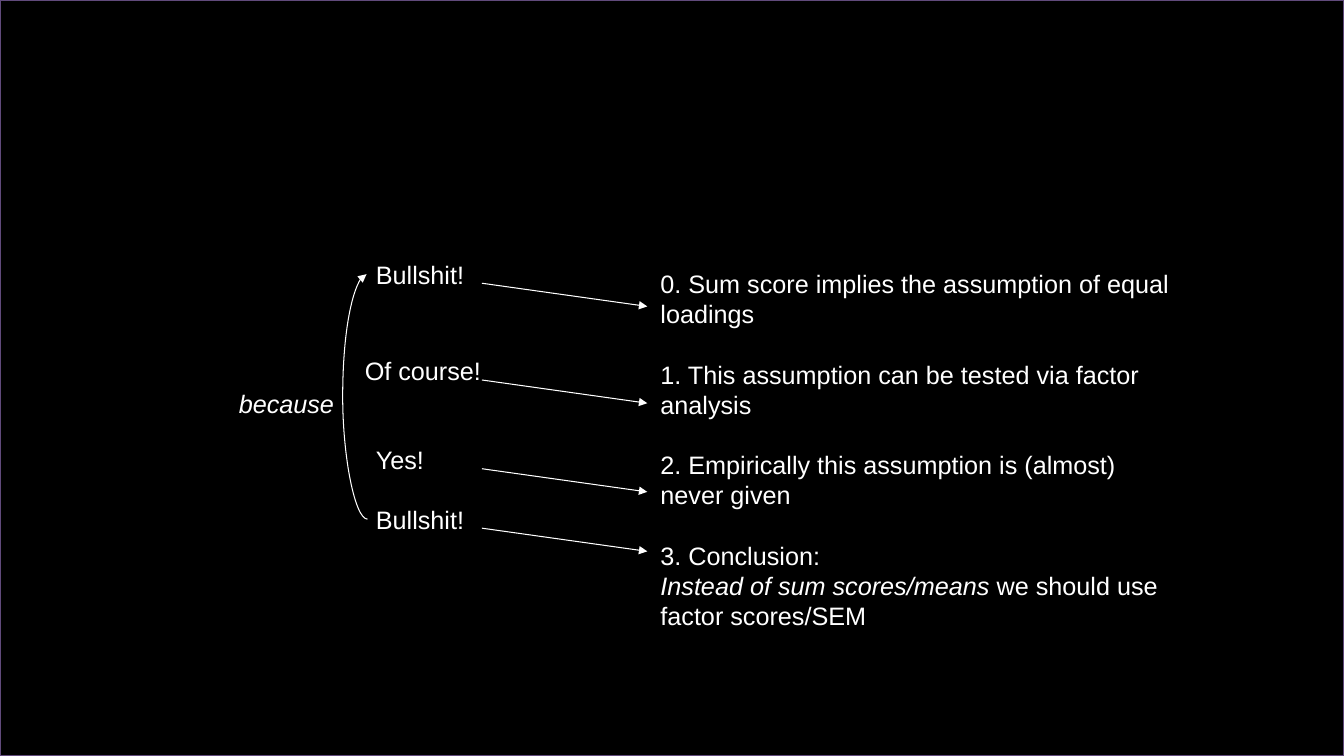
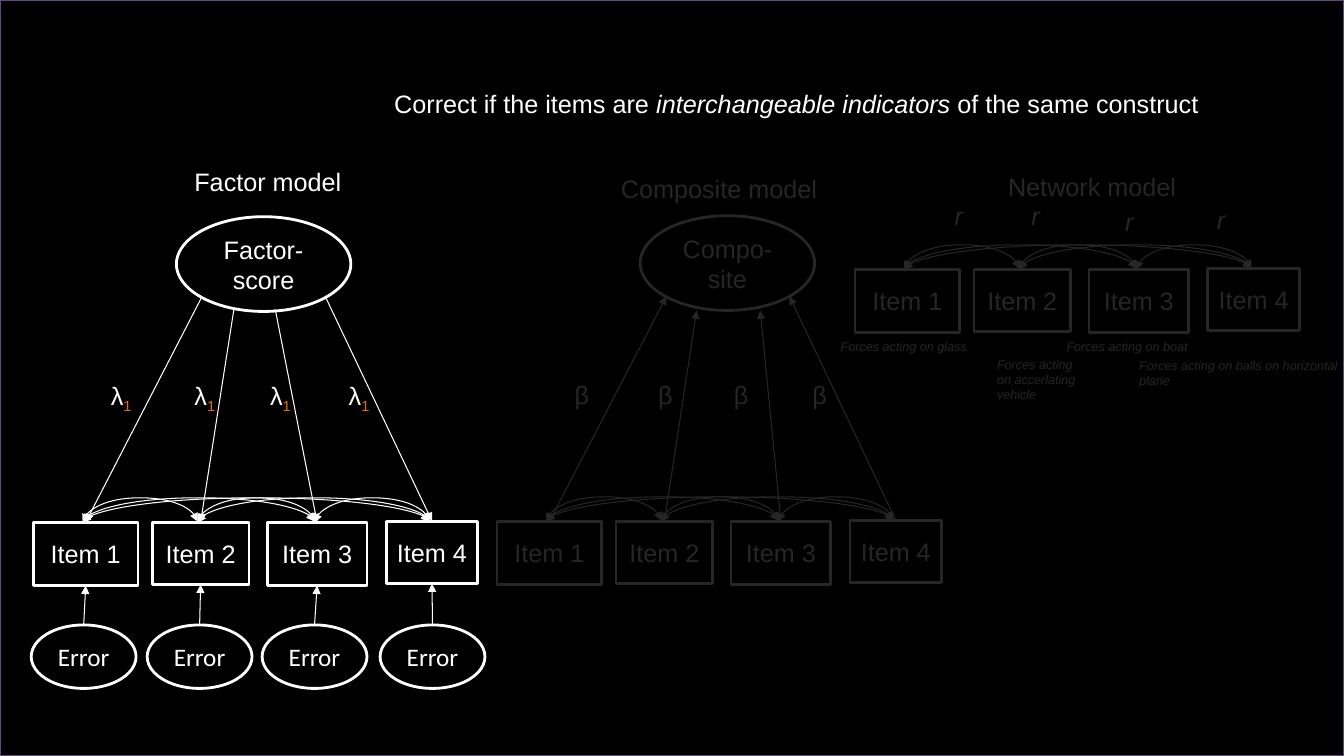
from itertools import combinations

from pptx import Presentation
from pptx.dml.color import RGBColor
from pptx.enum.shapes import MSO_CONNECTOR as CXN, MSO_SHAPE as SHAPE
from pptx.enum.text import MSO_ANCHOR as ANCHOR, MSO_AUTO_SIZE as AUTO, PP_ALIGN as ALIGN
from pptx.oxml.ns import qn
from pptx.util import Inches, Pt
from lxml.etree import SubElement

BLACK, WHITE, DIM, PURPLE, ORANGE = "000000", "FFFFFF", "262626", "604A7B", "E46C0A"
ITALIC = {"italic": True}
TOP, BOTTOM = 0, 2

# Items of every model, relative to the corner of the first one: x, y, width, height
ITEMS = [(0, 0, 1.04, 0.63), (1.18, 0, 0.96, 0.62), (2.32, 0, 0.99, 0.63), (3.5, -0.01, 0.91, 0.62)]
ARC_ENDS = (0.49, 1.63, 2.79, 3.93)
LABELS = (0.67, 1.5, 2.25, 3.03)


def rgb(color):
    return RGBColor.from_string(color)


class Deck:
    """Holds the shared style and the slide being filled."""

    def __init__(self):
        self.prs = Presentation()
        self.prs.slide_width, self.prs.slide_height = Inches(13.33), Inches(7.5)
        self.slide = None
        self.color = WHITE

    def style_master(self):
        """Put the black background and the purple frame on the master."""
        master = self.prs.slide_master
        fill = master.background.fill
        fill.solid()
        fill.fore_color.rgb = rgb(BLACK)
        frame = self.shape(SHAPE.RECTANGLE, (0, 0, 13.33, 7.5), color=PURPLE)
        master.shapes.element.append(frame.element)

    def new_slide(self, layout):
        self.slide = self.prs.slides.add_slide(self.prs.slide_layouts[layout])
        self.color = WHITE

    def add_runs(self, p, runs, **fmt):
        """Add runs to a paragraph; a run is a string or (string, own format)."""
        for run in [runs] if isinstance(runs, str) else runs:
            text, own = (run, {}) if isinstance(run, str) else run
            look = {"name": "Arial", "size": 18, "color": self.color, **fmt, **own}
            r = p.add_run()
            r.text = text
            r.font.color.rgb = rgb(look.pop("color"))
            look["size"] = Pt(look["size"])
            if look.pop("subscript", False):
                r.font._element.set("baseline", "-25000")
            for name, value in look.items():
                setattr(r.font, name, value)

    def text(self, box, runs, **fmt):
        sp = self.slide.shapes.add_textbox(*map(Inches, box))
        sp.text_frame.word_wrap = True
        self.add_runs(sp.text_frame.paragraphs[0], runs, **fmt)

    def placeholder(self, sp, box, paragraphs):
        """Move a placeholder and fill it with (gap before, runs) paragraphs."""
        for name, value in zip(("left", "top", "width", "height"), box):
            setattr(sp, name, Inches(value))
        tf = sp.text_frame
        for name, value in {"word_wrap": True, "auto_size": AUTO.NONE, "vertical_anchor": ANCHOR.TOP}.items():
            setattr(tf, name, value)
        for i, (gap, runs) in enumerate(paragraphs):
            p = tf.add_paragraph() if i else tf.paragraphs[0]
            p.alignment, p.space_before = ALIGN.LEFT, Pt(gap)
            pPr = p._p.get_or_add_pPr()
            pPr.set("marL", "0")
            pPr.set("indent", "0")
            SubElement(pPr, qn("a:buNone"))
            self.add_runs(p, runs)

    def shape(self, kind, box, text="", color=None, **fmt):
        sp = self.slide.shapes.add_shape(kind, *map(Inches, box))
        sp.shadow.inherit = False
        sp.fill.background()
        sp.line.color.rgb = rgb(color or self.color)
        sp.line.width = Pt(2)
        if text:
            tf = sp.text_frame
            tf.word_wrap, tf.vertical_anchor = True, ANCHOR.MIDDLE
            tf.paragraphs[0].alignment = ALIGN.CENTER
            self.add_runs(tf.paragraphs[0], text, **fmt)
        return sp

    def connector(self, kind, start, end, heads=("tailEnd",)):
        c = self.slide.shapes.add_connector(kind, *map(Inches, (*start, *end)))
        c.line.color.rgb = rgb(self.color)
        c.line.width = Pt(0.75)
        ln = c.line._get_or_add_ln()
        for head in heads:
            SubElement(ln, qn(f"a:{head}"), type="triangle")
        SubElement(c.element.spPr, qn("a:effectLst"))
        return c

    def arrow(self, start, end, begin_at=None, end_at=None):
        """Straight arrow; begin_at and end_at are (shape, site) to join."""
        c = self.connector(CXN.STRAIGHT, start, end)
        if begin_at:
            c.begin_connect(*begin_at)
        if end_at:
            c.end_connect(*end_at)

    def arc(self, start, end, heads=("tailEnd",), bulge=0.25):
        """Curve bowing up (level ends) or left (ends above each other)."""
        c = self.connector(CXN.CURVE, start, end, heads)
        (x1, y1), (x2, y2) = start, end
        level = abs(x2 - x1) > abs(y2 - y1)
        length = max(abs(x2 - x1), abs(y2 - y1))
        thin = 0.01
        c.left, c.top = Inches((x1 + x2 - thin) / 2), Inches((y1 + y2 - length) / 2)
        c.width, c.height = Inches(thin), Inches(length)
        xfrm = c.element.spPr.find(qn("a:xfrm"))
        xfrm.set("rot", "5400000" if level else "10800000")
        for flip in ("flipH", "flipV"):
            xfrm.set(flip, "1" if level else "0")
        geom = c.element.spPr.find(qn("a:prstGeom"))
        av = geom.find(qn("a:avLst"))
        if av is None:
            av = SubElement(geom, qn("a:avLst"))
        SubElement(av, qn("a:gd"), name="adj1", fmla=f"val {round(bulge / thin * 100000)}")

    def items(self, x, y):
        """Four item boxes, each pair tied by a two-headed arc."""
        boxes = [self.shape(SHAPE.RECTANGLE, (x + dx, y + dy, w, h), f"Item {n}")
                 for n, (dx, dy, w, h) in enumerate(ITEMS, 1)]
        for a, b in combinations(ARC_ENDS, 2):
            self.arc((x + a, y), (x + b, y), ("headEnd", "tailEnd"))
        return boxes

    def latent_model(self, x, y, name, label, exits, to_items):
        """Items below an ellipse; exits are the arrow ends on the ellipse."""
        boxes = self.items(x, y)
        self.shape(SHAPE.OVAL, (x + 1.42, y - 3.03, 1.73, 0.94), name)
        for box, (dx, dy), lx in zip(boxes, exits, LABELS):
            on_oval, on_item = (x + dx, y + dy), (x, y)
            if to_items:
                self.arrow(on_oval, on_item, end_at=(box, TOP))
            else:
                self.arrow(on_item, on_oval, begin_at=(box, TOP))
            self.text((x + lx, y - 1.46, 0.78, 0.4), label)
        return boxes


def argument_slide(deck):
    for x, y, reply in [(3.63, 2.52, "Bullshit!"), (3.52, 3.48, "Of course!"),
                        (3.63, 4.36, "Yes!"), (3.63, 4.95, "Bullshit!")]:
        deck.text((x, y, 1.5, 0.4), reply)
        deck.arrow((4.78, y + 0.29), (6.42, y + 0.52))
    deck.arc((3.65, 5.15), (3.63, 2.72))
    deck.text((2.27, 3.8, 1.5, 0.4), "because", **ITALIC)
    gap = 21.6
    title, body = deck.slide.placeholders
    title.element.getparent().remove(title.element)
    deck.placeholder(body, (6.45, 2.61, 5.33, 3.74), [
        (0, "0. Sum score implies the assumption of equal loadings"),
        (gap, "1. This assumption can be tested via factor analysis"),
        (gap, "2. Empirically this assumption is (almost) never given"),
        (gap, "3. Conclusion:"),
        (0, [("Instead of sum scores/means ", ITALIC), "we should use factor scores/SEM"])])


def models_slide(deck):
    deck.placeholder(deck.slide.shapes.title, (3.81, 0.83, 8.35, 0.4), [
        (0, ["Correct if the items are ", ("interchangeable indicators ", ITALIC),
             "of the same construct"])])

    deck.text((1.83, 1.6, 5.33, 0.4), "Factor model")
    boxes = deck.latent_model(
        0.33, 5.18, "Factor-score", ["λ", ("1", {"color": ORANGE, "subscript": True})],
        [(1.67, -2.23), (1.99, -2.11), (2.4, -2.11), (2.9, -2.23)], to_items=True)
    for box, x in zip(boxes, (0.31, 1.46, 2.6, 3.77)):
        error = deck.shape(SHAPE.OVAL, (x, 6.2, 1.04, 0.63), "Error", name="Calibri")
        deck.arrow((x, 6.2), (x, 5.8), (error, TOP), (box, BOTTOM))

    deck.color = DIM
    deck.text((6.06, 1.67, 5.33, 0.4), "Composite model")
    deck.latent_model(4.93, 5.17, "Compo-site", "β",
                      [(1.68, -2.23), (1.98, -2.09), (2.61, -2.09), (2.9, -2.23)], to_items=False)

    deck.text((9.9, 1.65, 5.33, 0.4), "Network model")
    deck.items(8.48, 2.67)
    for x, y in [(9.37, 1.94), (10.13, 1.94), (11.06, 2), (11.97, 1.98)]:
        deck.text((x, y, 0.78, 0.4), "r", **ITALIC)
    for box, force in [((8.24, 3.31, 3.13, 0.25), "glass"),
                       ((9.79, 3.49, 1.08, 0.56), "accerlating vehicle"),
                       ((10.48, 3.31, 1.67, 0.25), "boat"),
                       ((11.2, 3.5, 2.42, 0.4), "balls on horizontal plane")]:
        deck.text(box, f"Forces acting on {force}", size=9, **ITALIC)


def main():
    deck = Deck()
    deck.new_slide(1)
    deck.style_master()
    argument_slide(deck)
    deck.new_slide(5)
    models_slide(deck)
    deck.prs.save("out.pptx")


if __name__ == "__main__":
    main()
